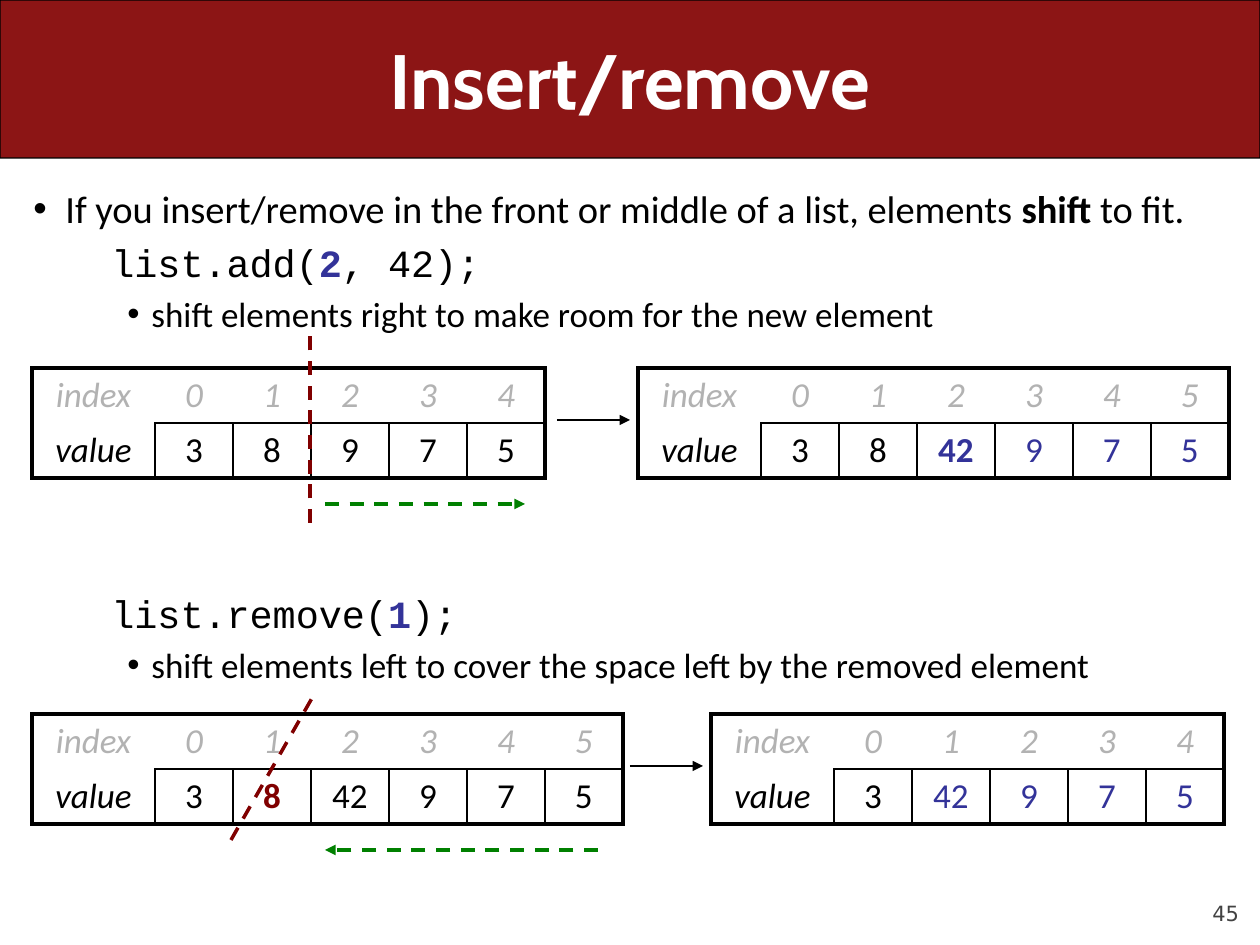
from lxml import etree
from pptx import Presentation
from pptx.dml.color import RGBColor
from pptx.enum import dml, shapes, text
from pptx.oxml import ns
from pptx.util import Emu, Pt

SCALE = 914400 // 126
BLACK = RGBColor(0x00, 0x00, 0x00)
WHITE = RGBColor(0xFF, 0xFF, 0xFF)
CARDINAL = RGBColor(0x8C, 0x15, 0x15)
BLUE = RGBColor(0x33, 0x33, 0x99)
MAROON = RGBColor(0x80, 0x00, 0x00)
GREEN = RGBColor(0x00, 0x80, 0x00)
GREY = RGBColor(0xB2, 0xB2, 0xB2)
CHARCOAL = RGBColor(0x42, 0x42, 0x42)
LABEL_WIDTH, ELEMENT_WIDTH, ROW_HEIGHT = 123, 78, 55
THICK, THIN = 2.25, 1


def px(*lengths):
    return [Emu(round(length * SCALE)) for length in lengths]


def apply(target, formats):
    for name, value in formats.items():
        setattr(target, name, value)


def add_run(paragraph, words, size, font, colour, bold=False, italic=False):
    run = paragraph.add_run()
    run.text = words
    apply(run.font, {"size": Pt(size), "name": font, "bold": bold, "italic": italic})
    run.font.color.rgb = colour


def add_frame(slide, box, **formats):
    frame = slide.shapes.add_textbox(*px(*box)).text_frame
    apply(frame, {"word_wrap": True, **formats})
    return frame


def add_title(slide, box):
    left, top, width, height = box
    banner = slide.shapes.add_shape(shapes.MSO_SHAPE.ROUNDED_RECTANGLE, *px(*box))
    banner.adjustments[0] = 0.001
    banner.shadow.inherit = False
    banner.fill.solid()
    banner.fill.fore_color.rgb = CARDINAL
    banner.line.color.rgb = BLACK
    banner.line.width = Pt(0.74)
    frame = add_frame(slide, (left + 63, top, width - 126, height),
                      vertical_anchor=text.MSO_ANCHOR.MIDDLE)
    title = frame.paragraphs[0]
    title.alignment = text.PP_ALIGN.CENTER
    add_run(title, "Insert/remove", 44, "Cabin", WHITE, bold=True)


def add_page_number(slide, box):
    frame = add_frame(slide, box, vertical_anchor=text.MSO_ANCHOR.BOTTOM, margin_left=0,
                      margin_right=0, margin_top=0, margin_bottom=0)
    frame.paragraphs[0].alignment = text.PP_ALIGN.RIGHT
    add_run(frame.paragraphs[0], "45", 12, "DejaVu Sans", CHARCOAL)


def add_explanation(slide, box):
    styles = {
        "point": dict(level=0, margin=32, hanging=32, size=22, font="Calibri", bullet=True),
        "code": dict(level=1, margin=78, hanging=0, size=22, font="Courier New", bullet=False),
        "note": dict(level=2, margin=118, hanging=24, size=20, font="Calibri", bullet=True),
    }
    lines = [
        ("point", 4.4, [("If you insert/remove in the front or middle of a list, elements ", BLACK, False),
                        ("shift", BLACK, True), (" to fit.", BLACK, False)]),
        ("code", 4.4, [("list.add(", BLACK, False), ("2", BLUE, True), (", 42);", BLACK, False)]),
        ("note", 4, [("shift elements right to make room for the new element", BLACK, False)]),
        ("code", 146.4, [("list.remove(", BLACK, False), ("1", BLUE, True), (");", BLACK, False)]),
        ("note", 4, [("shift elements left to cover the space left by the removed element", BLACK, False)]),
    ]
    frame = add_frame(slide, box)
    for number, (kind, gap, pieces) in enumerate(lines):
        style = styles[kind]
        line = frame.add_paragraph() if number else frame.paragraphs[0]
        apply(line, {"level": style["level"], "space_before": Pt(gap)})
        properties = line._p.get_or_add_pPr()
        margin, hanging = px(style["margin"], style["hanging"])
        properties.set("marL", str(margin))
        properties.set("indent", str(-hanging))
        if style["bullet"]:
            etree.SubElement(properties, ns.qn("a:buFont")).set("typeface", "Arial")
            etree.SubElement(properties, ns.qn("a:buChar")).set("char", "\u2022")
        else:
            etree.SubElement(properties, ns.qn("a:buNone"))
        for words, colour, bold in pieces:
            add_run(line, words, style["size"], style["font"], colour, bold)


def set_borders(cell, widths):
    properties = cell._tc.get_or_add_tcPr()
    for side, width in zip("LRTB", widths):
        border = etree.SubElement(properties, ns.qn("a:ln" + side))
        if width:
            border.set("w", str(Pt(width)))
            fill = etree.SubElement(border, ns.qn("a:solidFill"))
            etree.SubElement(fill, ns.qn("a:srgbClr")).set("val", str(BLACK))
        else:
            etree.SubElement(border, ns.qn("a:noFill"))


def add_list_table(slide, left, top, values, marks):
    count = len(values)
    width = LABEL_WIDTH + ELEMENT_WIDTH * count
    table = slide.shapes.add_table(2, count + 1, *px(left, top, width, 2 * ROW_HEIGHT)).table
    apply(table, {"first_row": False, "horz_banding": False})
    for position, column in enumerate(table.columns):
        column.width = px(ELEMENT_WIDTH if position else LABEL_WIDTH)[0]
    rows = [["index", *range(count)], ["value", *values]]
    for row, entries in enumerate(rows):
        table.rows[row].height = px(ROW_HEIGHT)[0]
        for position, entry in enumerate(entries):
            cell = table.cell(row, position)
            first, last = position == 0, position == count
            inner = THIN if row else 0
            middle = 0 if first else THIN
            set_borders(cell, (THICK if first else inner, THICK if last else inner,
                               middle if row else THICK, THICK if row else middle))
            cell.fill.background()
            colour, bold = marks.get(position - 1, (BLACK, False)) if row else (GREY, False)
            paragraph = cell.text_frame.paragraphs[0]
            paragraph.alignment = text.PP_ALIGN.CENTER
            add_run(paragraph, str(entry), 20, "Calibri", colour, bold, italic=not row or first)


def add_line(slide, ends, colour, width, dashed=False, arrow=False):
    line = slide.shapes.add_connector(shapes.MSO_CONNECTOR.STRAIGHT, *px(*ends))
    line.line.color.rgb = colour
    line.line.width = Pt(width)
    if dashed:
        line.line.dash_style = dml.MSO_LINE.DASH
    properties = line._element.spPr
    if arrow:
        etree.SubElement(properties.find(ns.qn("a:ln")), ns.qn("a:tailEnd")).set("type", "triangle")
    etree.SubElement(properties, ns.qn("a:effectLst"))


def add_operation(slide, left, top, before, after, after_x, result_x, split, shift):
    add_list_table(slide, left, top, *before)
    add_list_table(slide, left + after_x, top, *after)
    add_line(slide, (left + result_x, top + 52, left + result_x + 73, top + 52),
             BLACK, 0.75, arrow=True)
    x1, y1, x2, y2 = split
    add_line(slide, (left + x1, top + y1, left + x2, top + y2), MAROON, 2, dashed=True)
    start, end = shift
    add_line(slide, (left + start, top + 136, left + end, top + 136),
             GREEN, 2, dashed=True, arrow=True)


def main():
    deck = Presentation()
    apply(deck, dict(zip(("slide_width", "slide_height"), px(1260, 945))))
    slide = deck.slides.add_slide(deck.slide_layouts[6])
    shifted = (BLUE, False)
    short, full = [3, 8, 9, 7, 5], [3, 8, 42, 9, 7, 5]
    add_page_number(slide, (1134, 876, 105, 50))
    add_title(slide, (0, 0, 1260, 158))
    add_explanation(slide, (21, 179, 1218, 714))
    add_operation(slide, 32, 368, (short, {}),
                  (full, {2: (BLUE, True), 3: shifted, 4: shifted, 5: shifted}),
                  606, 525, (278, 155, 278, -34), (293, 493))
    add_operation(slide, 32, 714, (full, {1: (MAROON, True)}),
                  ([3, 42, 9, 7, 5], {place: shifted for place in range(1, 5)}),
                  679, 598, (199, 126, 283, -21), (566, 293))
    deck.save("out.pptx")


main()
